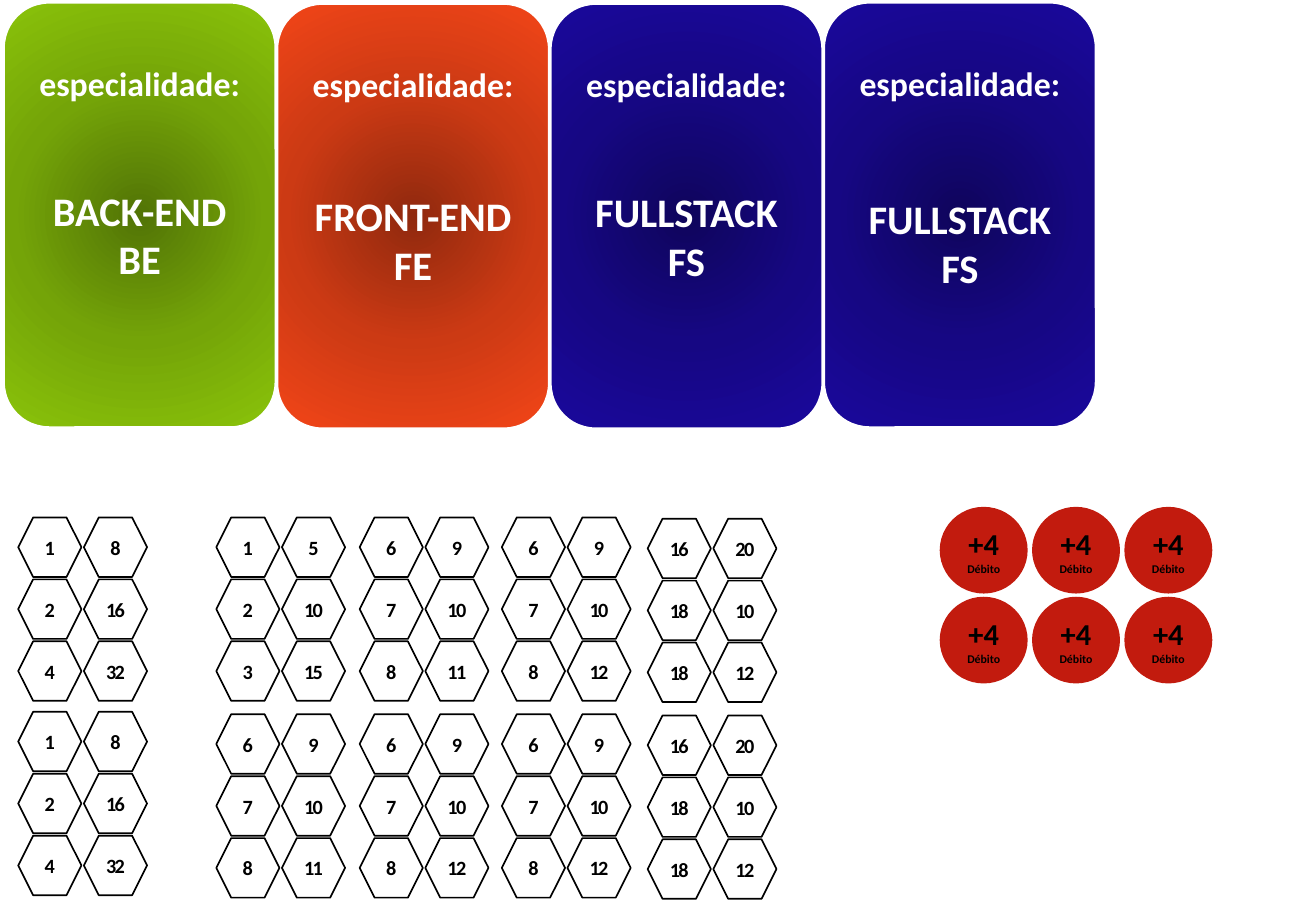
from itertools import product

from pptx import Presentation
from pptx.dml.color import RGBColor
from pptx.enum.shapes import MSO_SHAPE
from pptx.enum.text import MSO_ANCHOR, PP_ALIGN
from pptx.oxml import parse_xml
from pptx.oxml.ns import nsdecls
from pptx.util import Inches, Pt

ROUNDED, CIRCLE, HEXAGON = MSO_SHAPE.ROUNDED_RECTANGLE, MSO_SHAPE.OVAL, MSO_SHAPE.HEXAGON
TOP, MIDDLE = MSO_ANCHOR.TOP, MSO_ANCHOR.MIDDLE
CENTER = PP_ALIGN.CENTER

FONT = "Calibri"
COLORS = {"white": "FFFFFF", "black": "000000", "debit": "C21B0E"}
GRADIENTS = {
    "green": ("527406", "74A408", "8AC30A"),
    "orange": ("90290E", "CC3A14", "F24518"),
    "blue": ("0F055C", "160783", "1A089C"),
}

CARD_LEFT, CARD_PITCH, CARD_SIZE = 0.03, 2.25, (2.24, 3.5)
# top, gradient, specialty, short name, space above the specialty in points
CARDS = [
    (0.02, "green", "BACK-END", "BE", 48.8),
    (0.03, "orange", "FRONT-END", "FE", 51.3),
    (0.03, "blue", "FULLSTACK", "FS", 48.8),
    (0.02, "blue", "FULLSTACK", "FS", 53.7),
]

DEBIT_ORIGIN, DEBIT_PITCH, DEBIT_SIZE = (7.74, 4.18), (0.76, 0.74), (0.71, 0.7)

TILE_PITCH, TILE_SIZE = (0.54, 0.51), (0.52, 0.49)
# left, tops of the two blocks, values of each block column by column
TILE_BLOCKS = [
    (0.15, (4.26, 5.86), ((1, 2, 4, 8, 16, 32), (1, 2, 4, 8, 16, 32))),
    (1.78, (4.26, 5.88), ((1, 2, 3, 5, 10, 15), (6, 7, 8, 9, 10, 11))),
    (2.96, (4.26, 5.88), ((6, 7, 8, 9, 10, 11), (6, 7, 8, 9, 10, 12))),
    (4.13, (4.26, 5.88), ((6, 7, 8, 9, 10, 12), (6, 7, 8, 9, 10, 12))),
    (5.33, (4.27, 5.89), ((16, 18, 18, 20, 10, 12), (16, 18, 18, 20, 10, 12))),
]


def rgb(name):
    return RGBColor.from_string(COLORS[name])


def add_figure(slide, preset, origin, size, line, width, fill=None):
    figure = slide.shapes.add_shape(preset, *map(Inches, origin + size))
    figure.shadow.inherit = False
    figure.line.color.rgb = rgb(line)
    figure.line.width = Pt(width)
    if fill:
        figure.fill.solid()
        figure.fill.fore_color.rgb = rgb(fill)
    else:
        figure.fill.background()
    return figure


def fill_radial(figure, colors):
    """Replace the empty fill by a gradient running outwards from the centre."""
    stops = "".join(
        f'<a:gs pos="{i * 50000}"><a:srgbClr val="{color}"/></a:gs>'
        for i, color in enumerate(colors)
    )
    gradient = parse_xml(
        f'<a:gradFill {nsdecls("a")} rotWithShape="1"><a:gsLst>{stops}</a:gsLst>'
        '<a:path path="circle"><a:fillToRect l="50000" t="50000" r="50000" b="50000"/>'
        "</a:path></a:gradFill>"
    )
    properties = figure.fill._xPr
    properties.replace(properties.noFill, gradient)


def write(figure, lines, color="black", anchor=MIDDLE, inset_top=0, spacing=0, wrap=False):
    """Write lines given as (text, size, space before), one paragraph each."""
    frame = figure.text_frame
    frame.word_wrap = wrap
    frame.vertical_anchor = anchor
    frame.margin_left = frame.margin_right = frame.margin_bottom = 0
    frame.margin_top = Inches(inset_top)
    for i, (text, size, before) in enumerate(lines):
        paragraph = frame.add_paragraph() if i else frame.paragraphs[0]
        paragraph.alignment = CENTER
        paragraph.space_before = Pt(before)
        run = paragraph.add_run()
        run.text = text
        run.font.name = FONT
        run.font.size = Pt(size)
        run.font.bold = True
        run.font.color.rgb = rgb(color)
        if spacing:
            run.font._element.set("spc", str(spacing * 100))


def add_card(slide, column, top, gradient, specialty, short_name, gap):
    origin = (CARD_LEFT + column * CARD_PITCH, top)
    card = add_figure(slide, ROUNDED, origin, CARD_SIZE, "white", 1.5)
    fill_radial(card, GRADIENTS[gradient])
    lines = [("especialidade:", 20, 0), (specialty, 24, gap), (short_name, 24, 0)]
    write(card, lines, color="white", anchor=TOP, inset_top=0.39, wrap=True)


def grid_cell(origin, pitch, column, row):
    return origin[0] + column * pitch[0], origin[1] + row * pitch[1]


def add_debit(slide, column, row):
    origin = grid_cell(DEBIT_ORIGIN, DEBIT_PITCH, column, row)
    debit = add_figure(slide, CIRCLE, origin, DEBIT_SIZE, "debit", 1, fill="debit")
    write(debit, [("+4", 18, 0), ("Débito", 7, 0)])


def add_tile_block(slide, block_origin, values):
    for (column, row), value in zip(product(range(2), range(3)), values):
        origin = grid_cell(block_origin, TILE_PITCH, column, row)
        tile = add_figure(slide, HEXAGON, origin, TILE_SIZE, "black", 1)
        write(tile, [(str(value), 12, 0)], spacing=-1)


def main():
    deck = Presentation()
    deck.slide_width, deck.slide_height = Inches(10.83), Inches(7.5)
    slide = deck.slides.add_slide(deck.slide_layouts[6])
    for column, card in enumerate(CARDS):
        add_card(slide, column, *card)
    for column, row in product(range(3), range(2)):
        add_debit(slide, column, row)
    for left, tops, blocks in TILE_BLOCKS:
        for top, values in zip(tops, blocks):
            add_tile_block(slide, (left, top), values)
    deck.save("out.pptx")


if __name__ == "__main__":
    main()
